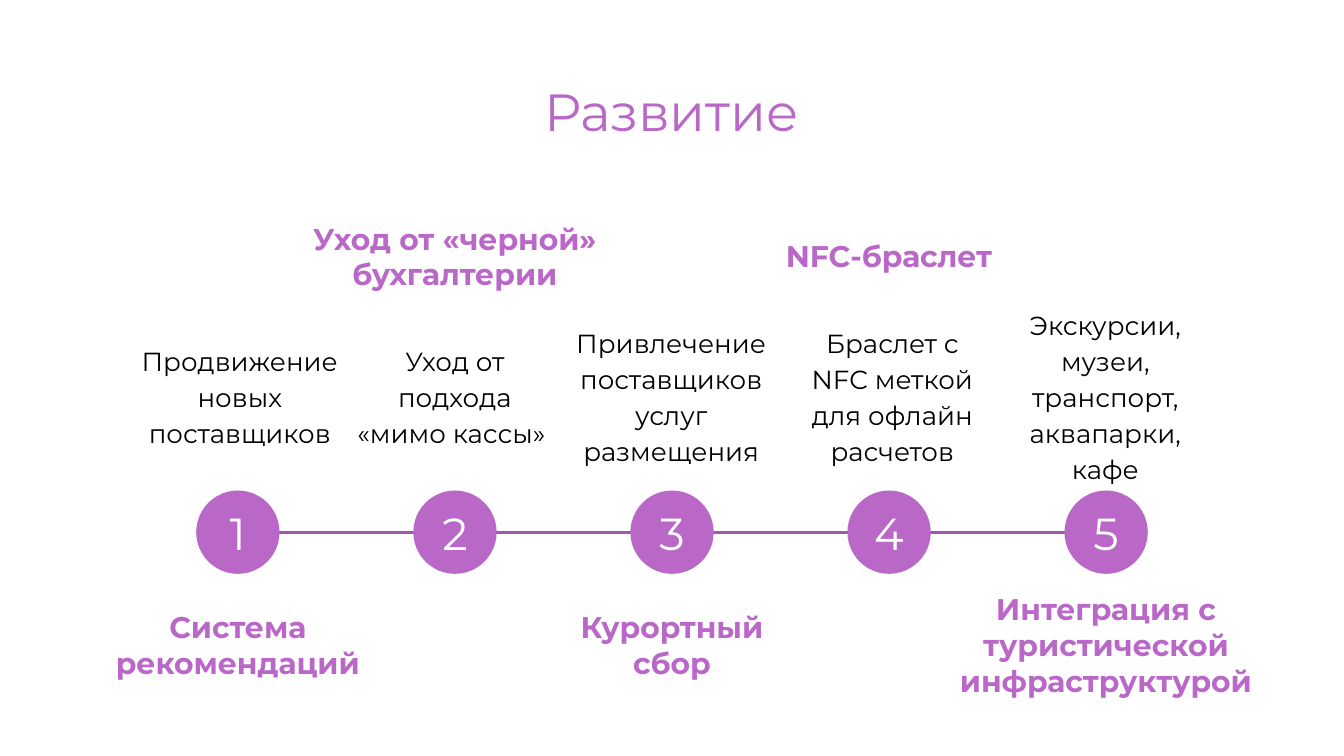
from dataclasses import dataclass

from lxml.etree import SubElement
from pptx import Presentation
from pptx.dml.color import RGBColor
from pptx.enum.shapes import MSO_CONNECTOR, MSO_SHAPE
from pptx.enum.text import MSO_ANCHOR, PP_ALIGN
from pptx.oxml.ns import qn
from pptx.util import Inches, Pt


@dataclass(frozen=True)
class Theme:
    """Colours, font and type sizes of the slide."""
    accent: RGBColor = RGBColor(0xBA, 0x68, 0xC8)
    line: RGBColor = RGBColor(0x9E, 0x59, 0xAA)
    dark: RGBColor = RGBColor(0, 0, 0)
    light: RGBColor = RGBColor(0xFF, 0xFF, 0xFF)
    font: str = "Montserrat"
    title: int = 28
    number: int = 24
    heading: int = 16
    body: int = 14


THEME = Theme()
FIRST_X, LAST_X, AXIS_Y = 1.77, 8.23, 3.96
DIAMETER = 0.62
HEADING_W, HEADING_H = 2.4, 0.83
HEADING_ABOVE, HEADING_BELOW = 1.49, 4.38
BODY_TOP, BODY_H = 2.43, 1.02

STEPS = [
    ("Система рекомендаций", "Продвижение новых поставщиков", 0.95, 1.67),
    ("Уход от «черной» бухгалтерии", "Уход от подхода\n«мимо кассы» ", 2.52, 1.73),
    ("Курортный\nсбор", "Привлечение поставщиков услуг размещения", 4.18, 1.63),
    ("NFC-браслет", "Браслет с NFC меткой для офлайн расчетов", 5.82, 1.64),
    ("Интеграция с туристической инфраструктурой",
     "Экскурсии, музеи, транспорт, аквапарки, кафе", 7.29, 1.87),
]


def write_text(sp, text, size, color, bold=False, spacing=1.0, inset=0.1):
    """Write one centred paragraph, with a line break at each newline."""
    tf = sp.text_frame
    tf.word_wrap = True
    tf.vertical_anchor = MSO_ANCHOR.MIDDLE
    tf.margin_left = tf.margin_right = Inches(inset)
    tf.margin_top = tf.margin_bottom = Inches(inset)
    p = tf.paragraphs[0]
    p.alignment = PP_ALIGN.CENTER
    p.line_spacing = spacing
    for i, line in enumerate(text.split("\n")):
        if i:
            p.add_line_break()
        r = p.add_run()
        r.text = line
        r.font.name = THEME.font
        r.font.size = Pt(size)
        r.font.bold = bold
        r.font.color.rgb = color


def add_title(slide, text):
    """Place and format the title placeholder."""
    sp = slide.shapes.title
    sp.left, sp.top = Inches(0.57), Inches(0.59)
    sp.width, sp.height = Inches(8.85), Inches(0.47)
    write_text(sp, text, THEME.title, THEME.accent)


def add_axis(slide):
    """Draw the horizontal timeline."""
    line = slide.shapes.add_connector(
        MSO_CONNECTOR.STRAIGHT, Inches(FIRST_X), Inches(AXIS_Y), Inches(LAST_X), Inches(AXIS_Y))
    line.line.color.rgb = THEME.line
    line.line.width = Pt(1.75)
    SubElement(line._element.spPr, qn("a:effectLst"))


def add_marker(slide, x, number):
    """Draw a numbered circle centred on the timeline."""
    sp = slide.shapes.add_shape(
        MSO_SHAPE.OVAL, Inches(x - DIAMETER / 2), Inches(AXIS_Y - DIAMETER / 2),
        Inches(DIAMETER), Inches(DIAMETER))
    sp.shadow.inherit = False
    sp.fill.solid()
    sp.fill.fore_color.rgb = THEME.accent
    sp.line.fill.background()
    write_text(sp, str(number), THEME.number, THEME.light, inset=0)


def add_label(slide, left, top, width, height, text, size, color, **style):
    """Add a text box with centred text."""
    sp = slide.shapes.add_textbox(
        Inches(left), Inches(top), Inches(width), Inches(height))
    write_text(sp, text, size, color, **style)


def add_step(slide, index, heading, body, body_left, body_w):
    """Add a timeline step, its heading alternately below and above."""
    x = FIRST_X + index * (LAST_X - FIRST_X) / (len(STEPS) - 1)
    add_marker(slide, x, index + 1)
    top = HEADING_ABOVE if index % 2 else HEADING_BELOW
    add_label(slide, x - HEADING_W / 2, top, HEADING_W, HEADING_H, heading,
              THEME.heading, THEME.accent, bold=True)
    add_label(slide, body_left, BODY_TOP, body_w, BODY_H, body,
              THEME.body, THEME.dark, spacing=1.15)


def main():
    """Build and save the slide."""
    prs = Presentation()
    prs.slide_width = Inches(10)
    prs.slide_height = prs.slide_width * 9 // 16
    slide = prs.slides.add_slide(prs.slide_layouts[5])
    add_title(slide, "Развитие")
    add_axis(slide)
    for i, step in enumerate(STEPS):
        add_step(slide, i, *step)
    prs.save("out.pptx")


if __name__ == "__main__":
    main()
